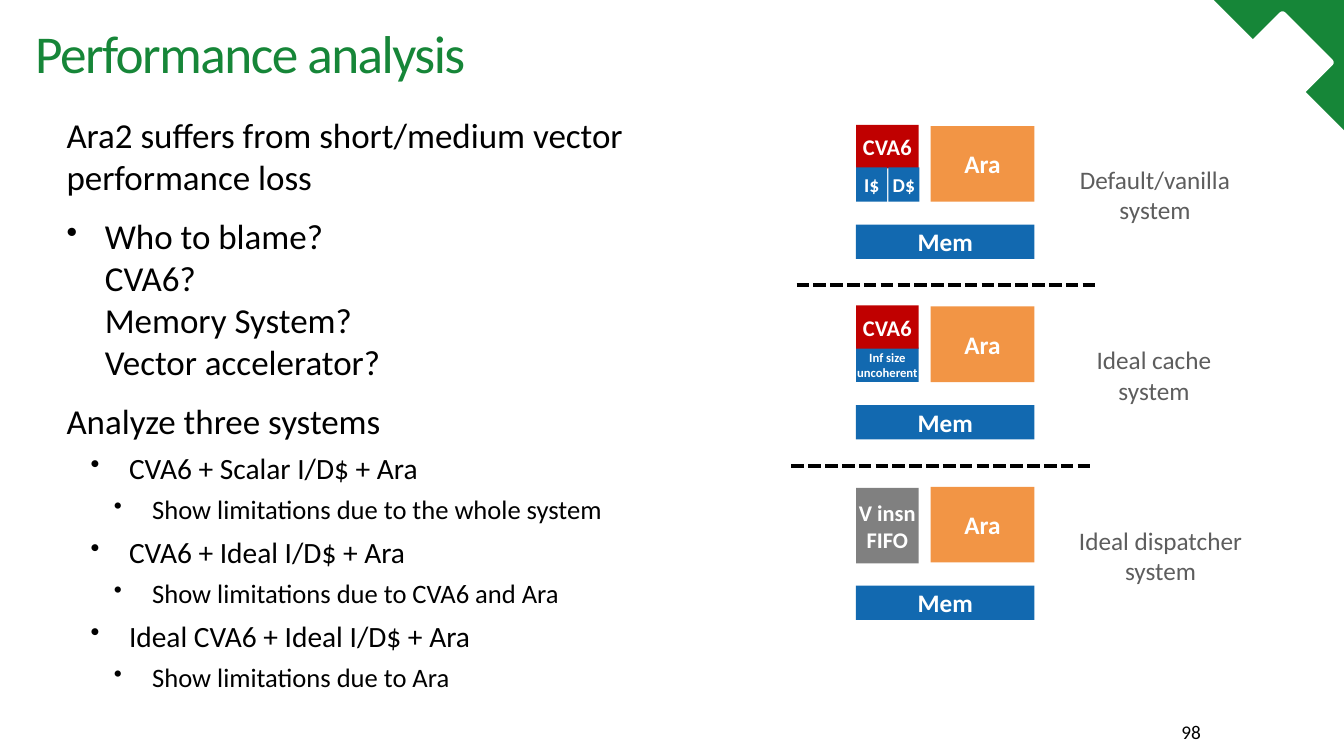
import copy
from typing import NamedTuple

import pptx
import pptx.dml.color
import pptx.enum.dml
import pptx.enum.shapes
import pptx.enum.text
import pptx.oxml.ns
import pptx.util
from lxml import etree

Inches, Pt = pptx.util.Inches, pptx.util.Pt
RGB = pptx.dml.color.RGBColor.from_string
SHAPE = pptx.enum.shapes.MSO_SHAPE
ALIGN = pptx.enum.text.PP_ALIGN
ANCHOR = pptx.enum.text.MSO_ANCHOR
qn = pptx.oxml.ns.qn


class Theme(NamedTuple):
    font: str = "Calibri"
    green: str = "168638"
    blue: str = "1269B0"
    orange: str = "F29545"
    red: str = "C00000"
    grey: str = "808080"
    caption: str = "5D5D5D"
    black: str = "000000"
    white: str = "FFFFFF"
    title_size: float = 38
    number_size: float = 13.8
    heading_size: float = 25
    system_size: float = 21
    detail_size: float = 19
    label_size: float = 18
    core_size: float = 16
    cache_size: float = 14
    note_size: float = 9


class Level(NamedTuple):
    size: float
    left: float
    hanging: float
    before: float
    depth: int = 0


class Block(NamedTuple):
    """A labelled rectangle, placed relative to the corner of its machine."""
    lines: tuple[str, ...]
    box: tuple[float, float, float, float]
    fill: str
    size: float


class Machine(NamedTuple):
    blocks: tuple[Block, ...]
    caption: tuple[str, ...]
    caption_x: float
    caption_w: float


THEME = Theme()
HEADING = Level(THEME.heading_size, 0.31, 0, 12)
QUESTION = Level(THEME.heading_size, 0.69, 0.38, 12)
SYSTEM = Level(THEME.system_size, 0.93, 0.38, 6, 1)
DETAIL = Level(THEME.detail_size, 1.16, 0.38, 6, 2)
BODY = [
    (HEADING, "Ara2 suffers from short/medium vector performance loss"),
    (QUESTION, "Who to blame?\nCVA6?\nMemory System?\nVector accelerator?"),
    (HEADING, "Analyze three systems"),
    (SYSTEM, "CVA6 + Scalar I/D$ + Ara"),
    (DETAIL, "Show limitations due to the whole system"),
    (SYSTEM, "CVA6 + Ideal I/D$ + Ara"),
    (DETAIL, "Show limitations due to CVA6 and Ara"),
    (SYSTEM, "Ideal CVA6 + Ideal I/D$ + Ara"),
    (DETAIL, "Show limitations due to Ara"),
]

MEM = Block(("Mem",), (0, 0.99, 1.77, 0.34), THEME.blue, THEME.label_size)
ARA = Block(("Ara",), (0.74, 0.01, 1.03, 0.75), THEME.orange, THEME.label_size)
CVA6 = Block(("CVA6",), (0, 0, 0.62, 0.43), THEME.red, THEME.core_size)
I_CACHE = Block(("I$",), (0, 0.42, 0.31, 0.34), THEME.blue, THEME.cache_size)
D_CACHE = Block(("D$",), (0.32, 0.42, 0.31, 0.34), THEME.blue, THEME.cache_size)
IDEAL_CACHE = Block(("Inf size", "uncoherent"), (0, 0.42, 0.62, 0.34), THEME.blue, THEME.note_size)
FIFO = Block(("V insn\nFIFO",), (0, 0.02, 0.62, 0.75), THEME.grey, THEME.core_size)
MACHINES = [
    Machine((MEM, ARA, CVA6, I_CACHE, D_CACHE), ("Default/vanilla", "system"), 10.7, 1.51),
    Machine((MEM, ARA, IDEAL_CACHE, CVA6), ("Ideal cache", "system"), 10.87, 1.15),
    Machine((MEM, ARA, FIFO), ("Ideal dispatcher\nsystem",), 10.69, 1.64),
]
MACHINE_LEFT, MACHINE_TOP, MACHINE_PITCH = 8.49, 1.24, 1.79
DIVIDER_LEFTS, DIVIDER_WIDTH = (7.9, 7.85), 2.96


def write(p, text: str, *, size: float, color: str, bold: bool = False,
          align=None, spacing: float = 0) -> None:
    """Fill a paragraph; a newline becomes a line break in the same format."""
    p.text = text
    p.alignment = align
    for r in p.runs:
        r.font.name, r.font.size, r.font.bold = THEME.font, Pt(size), bold
        r.font.color.rgb = RGB(color)
        r.font._element.set("spc", str(round(spacing * 100)))
    for br in p._p.findall(qn("a:br")):
        br.insert(0, copy.deepcopy(p.runs[0].font._element))


def write_lines(tf, lines: tuple[str, ...], **fmt) -> None:
    for i, line in enumerate(lines):
        write(tf.add_paragraph() if i else tf.paragraphs[0], line, **fmt)


def set_frame(tf, *, anchor=ANCHOR.TOP, pad_x: float = 0, pad_y: float = 0,
              wrap: bool = True) -> None:
    tf.word_wrap, tf.vertical_anchor = wrap, anchor
    tf.margin_left = tf.margin_right = Inches(pad_x)
    tf.margin_top = tf.margin_bottom = Inches(pad_y)


def add_text_box(s, x: float, y: float, w: float, h: float, **frame):
    tf = s.shapes.add_textbox(Inches(x), Inches(y), Inches(w), Inches(h)).text_frame
    set_frame(tf, **frame)
    return tf


def add_solid(s, kind, x: float, y: float, w: float, h: float, fill: str,
              rotation: float = 0, adjust: float | None = None):
    sp = s.shapes.add_shape(kind, Inches(x), Inches(y), Inches(w), Inches(h))
    sp.shadow.inherit = False
    sp.fill.solid()
    sp.fill.fore_color.rgb = RGB(fill)
    sp.line.fill.background()
    sp.rotation = rotation
    if adjust is not None:
        sp.adjustments[0] = adjust
    return sp


def add_divider(s, x: float, y: float) -> None:
    ends = (Inches(v) for v in (x, y, x + DIVIDER_WIDTH, y))
    sp = s.shapes.add_connector(pptx.enum.shapes.MSO_CONNECTOR.STRAIGHT, *ends)
    sp.line.color.rgb = RGB(THEME.black)
    sp.line.width = Pt(3)
    sp.line.dash_style = pptx.enum.dml.MSO_LINE.SQUARE_DOT
    etree.SubElement(sp._element.spPr, qn("a:effectLst"))


def add_body(s) -> None:
    tf = add_text_box(s, 0.35, 1.08, 5.85, 6.04, pad_y=0.05)
    for i, (level, text) in enumerate(BODY):
        p = tf.add_paragraph() if i else tf.paragraphs[0]
        p.level = level.depth
        pPr = p._p.get_or_add_pPr()
        pPr.set("marL", str(Inches(level.left)))
        pPr.set("indent", str(-Inches(level.hanging)))
        if level.hanging:
            color = etree.SubElement(pPr, qn("a:buClr"))
            etree.SubElement(color, qn("a:srgbClr"), val=THEME.black)
            etree.SubElement(pPr, qn("a:buSzPct"), val="90000")
            etree.SubElement(pPr, qn("a:buChar"), char="•")
        if i:
            p.space_before = Pt(level.before)
        write(p, text, size=level.size, color=THEME.black)


def add_machine(s, machine: Machine, top: float) -> None:
    for b in machine.blocks:
        x, y, w, h = b.box
        tf = add_solid(s, SHAPE.RECTANGLE, MACHINE_LEFT + x, top + y, w, h, b.fill).text_frame
        set_frame(tf, anchor=ANCHOR.MIDDLE)
        write_lines(tf, b.lines, size=b.size, color=THEME.white, bold=True, align=ALIGN.CENTER)
    tf = add_text_box(s, machine.caption_x, top + 0.39, machine.caption_w, 0.61, wrap=False)
    tf.auto_size = pptx.enum.text.MSO_AUTO_SIZE.SHAPE_TO_FIT_TEXT
    write_lines(tf, machine.caption, size=THEME.label_size, color=THEME.caption, align=ALIGN.CENTER)


def main() -> None:
    prs = pptx.Presentation()
    prs.slide_width, prs.slide_height = Inches(13.33), Inches(7.5)
    s = prs.slides.add_slide(prs.slide_layouts[6])
    add_solid(s, SHAPE.ISOSCELES_TRIANGLE, 12.04, 0, 1.3, 1.3, THEME.green, 270, 1)
    for x, y, side in ((12.12, 0.42, 0.41), (12.35, 0.25, 0.74)):
        add_solid(s, SHAPE.ROUNDED_RECTANGLE, x, y, side, side, THEME.white, 45, 0.05)
    title = add_text_box(s, 0.35, 0.2, 11.67, 0.72, anchor=ANCHOR.MIDDLE).paragraphs[0]
    title.line_spacing = 0.9
    write(title, "Performance analysis", size=THEME.title_size, color=THEME.green, spacing=-1.1)
    number = add_text_box(s, 11.36, 7.08, 0.65, 0.34, anchor=ANCHOR.BOTTOM, pad_x=0.1, pad_y=0.05)
    number.paragraphs[0].space_after = Pt(6)
    write_lines(number, ("98",), size=THEME.number_size, color=THEME.black, align=ALIGN.RIGHT)
    add_body(s)
    for i, machine in enumerate(MACHINES):
        add_machine(s, machine, MACHINE_TOP + i * MACHINE_PITCH)
    for i, x in enumerate(DIVIDER_LEFTS):
        add_divider(s, x, MACHINE_TOP + 1.59 + i * MACHINE_PITCH)
    prs.save("out.pptx")


if __name__ == "__main__":
    main()
